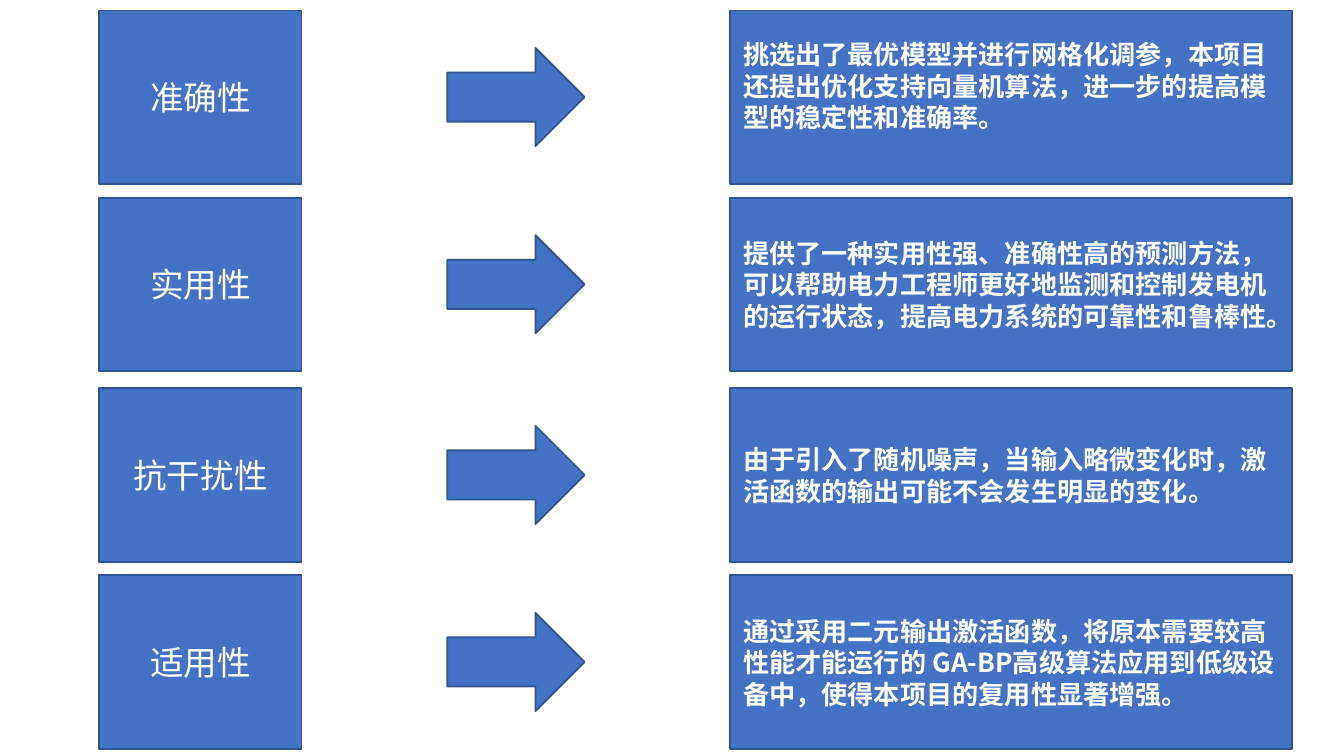
from dataclasses import dataclass

from lxml.etree import SubElement
from pptx import Presentation
from pptx.dml.color import RGBColor as RGB
from pptx.enum.shapes import MSO_SHAPE as Kind
from pptx.enum.text import MSO_ANCHOR as Anchor, PP_ALIGN as Align
from pptx.oxml.ns import qn
from pptx.shapes.autoshape import Shape
from pptx.slide import Slide
from pptx.util import Pt


@dataclass(frozen=True)
class Theme:
    fill: RGB = RGB(0x44, 0x72, 0xC4)
    line: RGB = RGB(0x32, 0x54, 0x91)
    ink: RGB = RGB(0xFF, 0xFF, 0xFF)
    font: str = "Calibri"
    body_font: str = "Noto Sans CJK SC"
    size: float = 18
    body_size: float = 14
    lead: float = 16.9


@dataclass(frozen=True)
class Row:
    top: float
    name: str
    body: str
    lift: float = 0  # extra inset below the body text


THEME = Theme()
HIGH = 92.9
ARROW_HIGH = 52.6

ROWS = [
    Row(5.6, "准确性",
        "挑选出了最优模型并进行网格化调参，本项目还提出优化支持向量机算法，"
        "进一步的提高模型的稳定性和准确率。", lift=12),
    Row(105.9, "实用性",
        "提供了一种实用性强、准确性高的预测方法，可以帮助电力工程师更好地监测"
        "和控制发电机的运行状态，提高电力系统的可靠性和鲁棒性。"),
    Row(208, "抗干扰性",
        "由于引入了随机噪声，当输入略微变化时，激活函数的输出可能不会发生明显的变化。"),
    Row(308.2, "适用性",
        "通过采用二元输出激活函数，将原本需要较高性能才能运行的 GA-BP高级算法"
        "应用到低级设备中，使得本项目的复用性显著增强。"),
]


def add_block(slide: Slide, kind: Kind, left: float, top: float,
              wide: float, high: float) -> Shape:
    shape = slide.shapes.add_shape(kind, Pt(left), Pt(top), Pt(wide), Pt(high))
    shape.shadow.inherit = False
    shape.fill.solid()
    shape.fill.fore_color.rgb = THEME.fill
    shape.line.color.rgb = THEME.line
    shape.line.width = Pt(1)
    return shape


def set_text(shape: Shape, text: str, align: Align, font: str,
             size: float, bold: bool = False) -> None:
    frame = shape.text_frame
    frame.text = text
    frame.word_wrap = True
    frame.vertical_anchor = Anchor.MIDDLE
    para = frame.paragraphs[0]
    para.alignment = align
    face = para.runs[0].font
    face.name, face.size, face.bold = font, Pt(size), bold
    face.color.rgb = THEME.ink


def set_body(shape: Shape, row: Row) -> None:
    """Write the bold text, with its font also set for Chinese letters."""
    set_text(shape, row.body, Align.LEFT, THEME.body_font,
             THEME.body_size, bold=True)
    frame = shape.text_frame
    frame.margin_bottom = Pt(3.6 + row.lift)
    para = frame.paragraphs[0]
    para.line_spacing = Pt(THEME.lead)
    props = para.runs[0].font._element
    SubElement(props, qn("a:ea")).set("typeface", THEME.body_font)


def add_row(slide: Slide, row: Row) -> None:
    label = add_block(slide, Kind.RECTANGLE, 53.2, row.top, 108.4, HIGH)
    set_text(label, row.name, Align.CENTER, THEME.font, THEME.size)
    mid = row.top + (HIGH - ARROW_HIGH) / 2
    add_block(slide, Kind.RIGHT_ARROW, 239.6, mid, 73.6, ARROW_HIGH)
    body = add_block(slide, Kind.RECTANGLE, 391, row.top, 301.2, HIGH)
    set_body(body, row)


def main() -> None:
    deck = Presentation()
    deck.slide_width, deck.slide_height = Pt(720), Pt(405)
    slide = deck.slides.add_slide(deck.slide_layouts[6])
    for row in ROWS:
        add_row(slide, row)
    deck.save("out.pptx")


if __name__ == "__main__":
    main()
